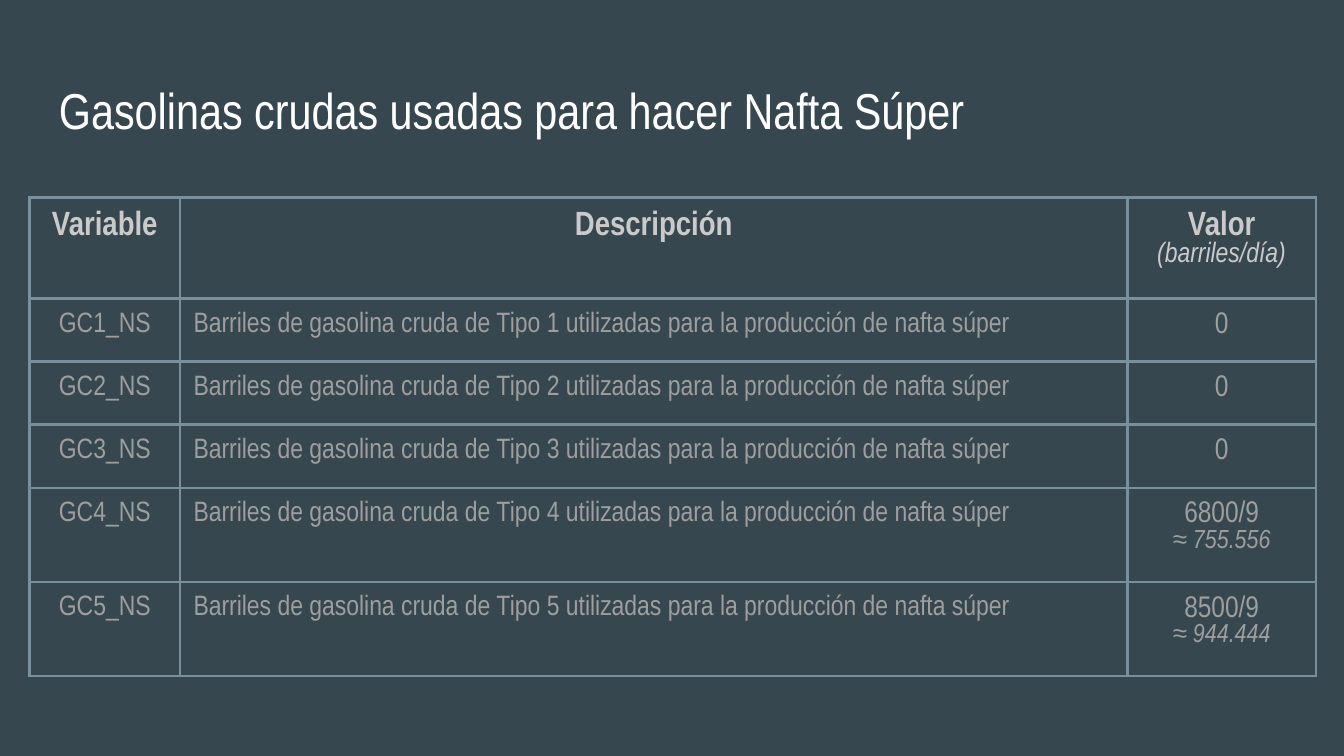
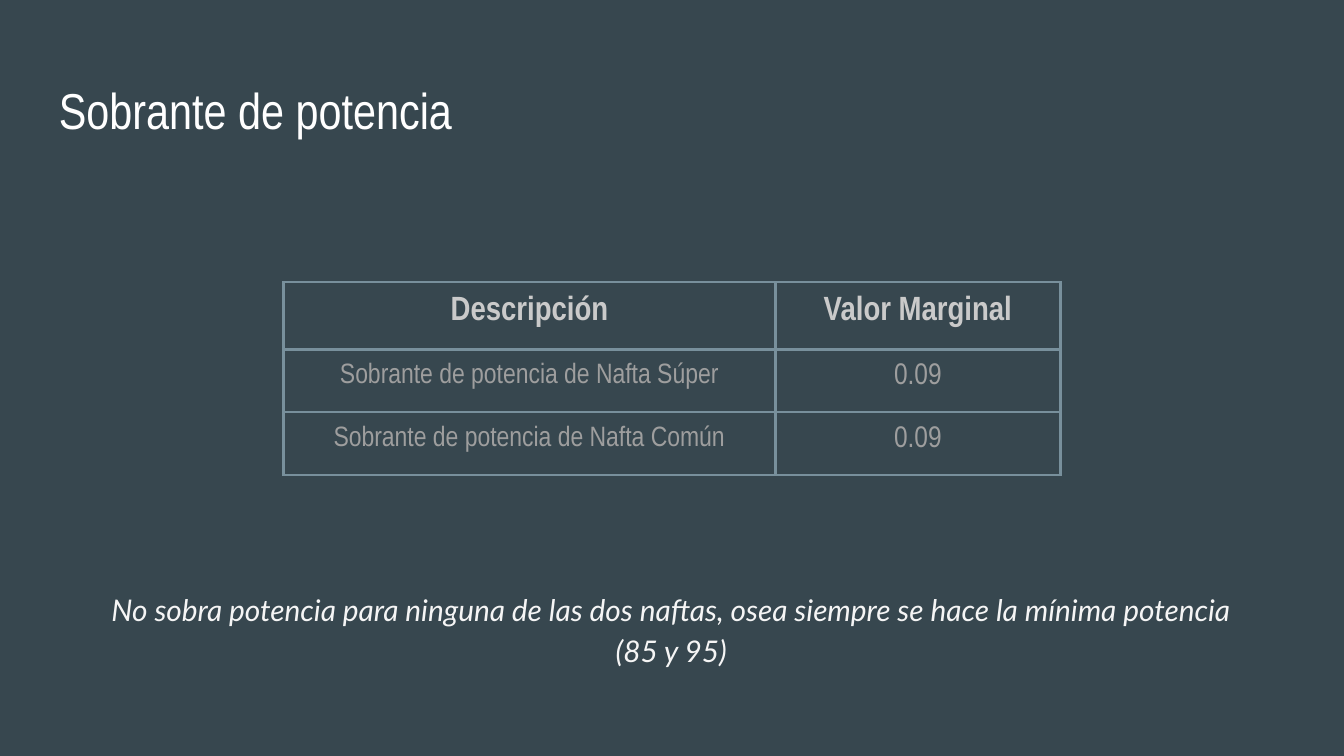
from lxml import etree
from pptx import Presentation
from pptx.dml.color import RGBColor
from pptx.enum.text import MSO_ANCHOR, PP_ALIGN
from pptx.oxml.ns import qn
from pptx.util import Inches, Pt

BOTTOM, TOP = MSO_ANCHOR.BOTTOM, MSO_ANCHOR.TOP
LEFT, CENTER = PP_ALIGN.LEFT, PP_ALIGN.CENTER

BACKGROUND = RGBColor(0x37, 0x47, 0x4F)
BORDER = RGBColor(0x78, 0x90, 0x9C)
HEADER = RGBColor(0xCA, 0xCA, 0xCA)
BODY = RGBColor(0x9E, 0x9E, 0x9E)
WHITE = RGBColor(0xFF, 0xFF, 0xFF)
NOTE = RGBColor(0xF5, 0xF5, 0xF5)
NARROW, LATO = "Arial Narrow", "Lato"
INSET = Inches(0.1)

# Content: each cell is a list of lines, each line is (text, size, italic)
GASOLINE_TITLE = "Gasolinas crudas usadas para hacer Nafta Súper"
GASOLINE_HEADER = [
    [("Variable", 18, False)],
    [("Descripción", 18, False)],
    [("Valor", 18, False), ("(barriles/día)", 15, True)],
]
GASOLINE_VALUES = [("0",), ("0",), ("0",), ("6800/9", "≈ 755.556"), ("8500/9", "≈ 944.444")]

POWER_TITLE = "Sobrante de potencia"
POWER_HEADER = [[("Descripción", 18, False)], [("Valor Marginal", 18, False)]]
POWER_VALUES = [("Súper", "0.09"), ("Común", "0.09")]
POWER_NOTE = ("No sobra potencia para ninguna de las dos naftas, "
              "osea siempre se hace la mínima potencia (85 y 95)")


def add_run(p, text, size, color, font=NARROW, bold=False, italic=False):
    r = p.add_run()
    r.text = text
    f = r.font
    f.name, f.size, f.bold, f.italic = font, Pt(size), bold, italic
    f.color.rgb = color
    # Same typeface for the other scripts, so that line heights agree
    for tag in ("a:ea", "a:cs"):
        etree.SubElement(r._r.get_or_add_rPr(), qn(tag), typeface=font)


def add_text(slide, box, anchor):
    tf = slide.shapes.add_textbox(*map(Inches, box)).text_frame
    tf.word_wrap = True
    tf.vertical_anchor = anchor
    tf.margin_left = tf.margin_right = tf.margin_top = tf.margin_bottom = INSET
    return tf.paragraphs[0]


def add_slide(prs, title):
    slide = prs.slides.add_slide(prs.slide_layouts[6])
    slide.background.fill.solid()
    slide.background.fill.fore_color.rgb = BACKGROUND
    p = add_text(slide, (0.34, 0.51, 9.32, 0.63), BOTTOM)
    add_run(p, title, 27, WHITE)
    return slide


def set_borders(cell):
    tc_pr = cell._tc.get_or_add_tcPr()
    for i, side in enumerate(("lnL", "lnR", "lnT", "lnB")):
        ln = etree.Element(qn("a:" + side), w=str(Pt(1.5)))
        fill = etree.SubElement(ln, qn("a:solidFill"))
        etree.SubElement(fill, qn("a:srgbClr"), val=str(BORDER))
        tc_pr.insert(i, ln)


def add_table(slide, left, top, widths, heights, rows, left_column=None):
    size = map(Inches, (left, top, sum(widths), sum(heights)))
    table = slide.shapes.add_table(len(rows), len(widths), *size).table
    table.horz_banding = False
    for column, width in zip(table.columns, widths):
        column.width = Inches(width)
    for i, (row, height) in enumerate(zip(rows, heights)):
        table.rows[i].height = Inches(height)
        for j, lines in enumerate(row):
            cell = table.cell(i, j)
            cell.fill.background()
            set_borders(cell)
            cell.margin_left = cell.margin_right = INSET
            cell.margin_top = cell.margin_bottom = INSET
            tf = cell.text_frame
            for k, (text, points, italic) in enumerate(lines):
                p = tf.add_paragraph() if k else tf.paragraphs[0]
                p.alignment = LEFT if i and j == left_column else CENTER
                p.line_spacing = 1.0
                add_run(p, text, points, BODY if i else HEADER,
                        bold=not i and not italic, italic=italic)


def gasoline_slide(prs):
    slide = add_slide(prs, GASOLINE_TITLE)
    rows = [GASOLINE_HEADER]
    for n, (value, *approx) in enumerate(GASOLINE_VALUES, 1):
        description = (f"Barriles de gasolina cruda de Tipo {n} utilizadas "
                       "para la producción de nafta súper")
        rows.append([
            [(f"GC{n}_NS", 15, False)],
            [(description, 15, False)],
            [(value, 16, False)] + [(text, 14, True) for text in approx],
        ])
    heights = [0.75] + [0.7 if len(v) > 1 else 0.47 for v in GASOLINE_VALUES]
    add_table(slide, 0.22, 1.47, (1.12, 7.05, 1.4), heights, rows, left_column=1)


def power_slide(prs):
    slide = add_slide(prs, POWER_TITLE)
    rows = [POWER_HEADER] + [
        [[(f"Sobrante de potencia de Nafta {name}", 15, False)], [(value, 16, False)]]
        for name, value in POWER_VALUES
    ]
    add_table(slide, 2.11, 2.1, (3.66, 2.12), [0.42] * len(rows), rows)

    # Conclusion below the table
    p = add_text(slide, (0.73, 4.26, 8.53, 0.87), TOP)
    p.alignment = CENTER
    p.line_spacing = 1.15
    p.space_after = Pt(12)
    add_run(p, POWER_NOTE, 16, NOTE, font=LATO, italic=True)


def main():
    prs = Presentation()
    prs.slide_width = Inches(10)
    prs.slide_height = Inches(10 * 9 / 16)
    gasoline_slide(prs)
    power_slide(prs)
    prs.save("out.pptx")


if __name__ == "__main__":
    main()
